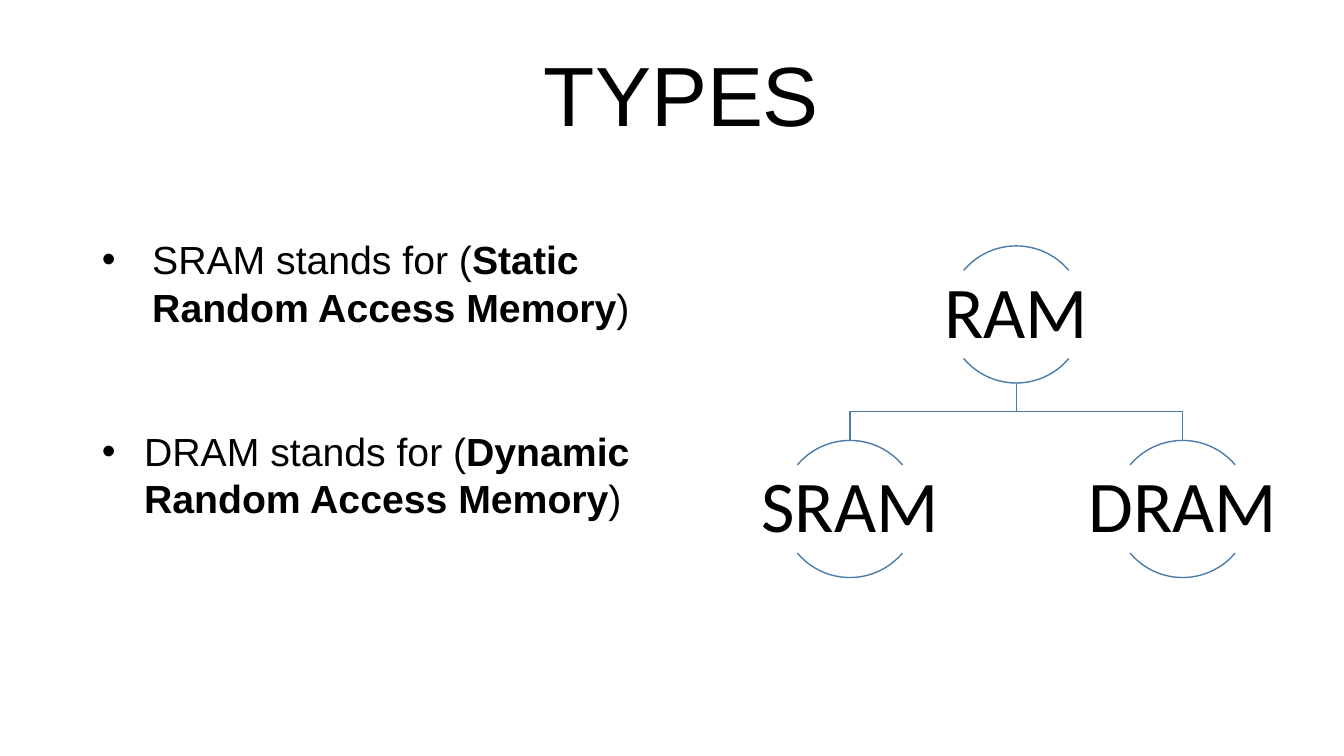
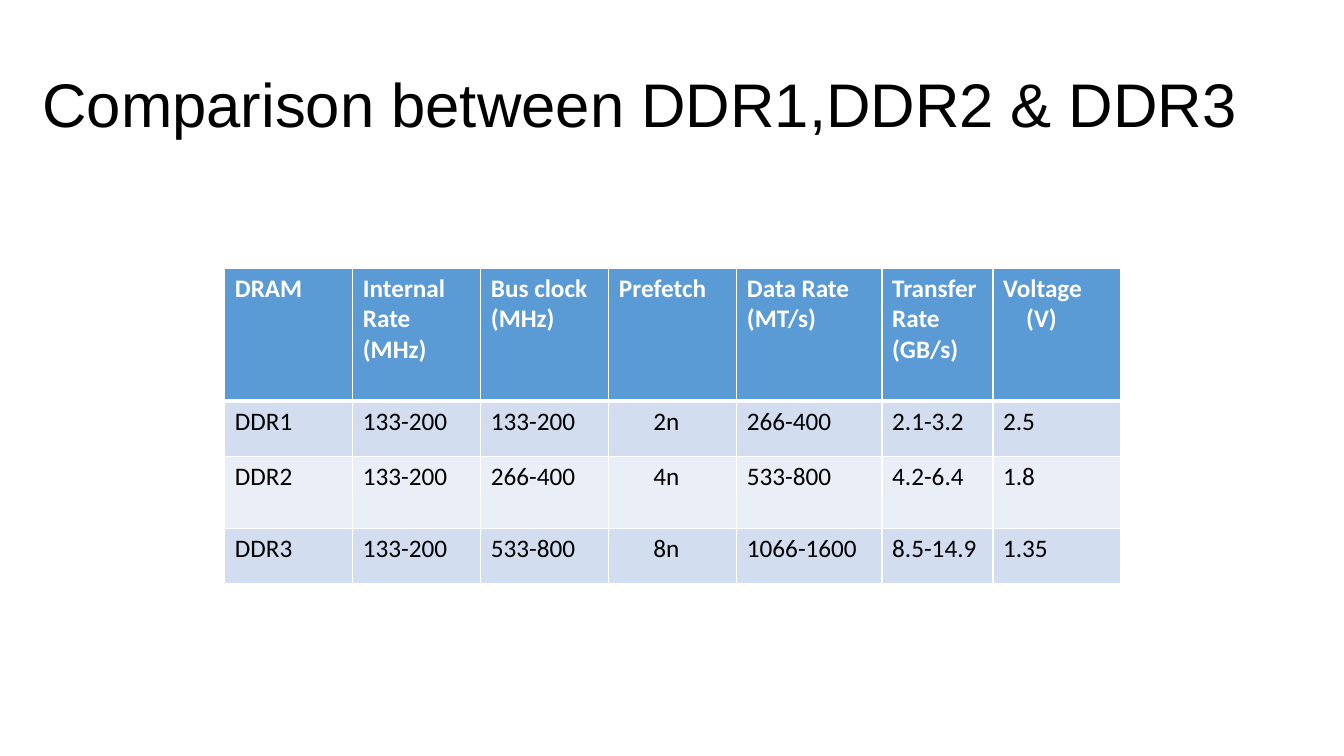
from pptx import Presentation
from pptx.dml.color import RGBColor
from pptx.enum import shapes, text
from pptx.oxml import parse_xml
from pptx.oxml.ns import nsdecls
from pptx.util import Inches, Pt

BLACK = RGBColor(0x00, 0x00, 0x00)
WHITE = RGBColor(0xFF, 0xFF, 0xFF)
LINE = RGBColor(0x49, 0x7C, 0xAB)
HEADER = RGBColor(0x5B, 0x9B, 0xD5)
BANDS = (RGBColor(0xD2, 0xDE, 0xEF), RGBColor(0xEA, 0xEF, 0xF7))

CIRCLE = 1.36           # diameter of a tree node
LABEL = (2.73, 0.87)    # size of a node label

HEADINGS = ["DRAM", "Internal Rate (MHz)", "Bus clock (MHz)", "Prefetch",
            "Data Rate\n(MT/s)", "Transfer Rate (GB/s)", "Voltage\n(V)"]
DATA = [
    ["DDR1", "133-200", "133-200", "2n", "266-400", "2.1-3.2", "2.5"],
    ["DDR2", "133-200", "266-400", "4n", "533-800", "4.2-6.4", "1.8"],
    ["DDR3", "133-200", "533-800", "8n", "1066-1600", "8.5-14.9", "1.35"],
]
COL_WIDTHS = [1.27, 1.27, 1.27, 1.27, 1.44, 1.1, 1.27]
ROW_HEIGHTS = [1.32, 0.55, 0.71, 0.55]
INDENTS = {"2n": 0.34, "4n": 0.34, "8n": 0.34, "(V)": 0.23}


def set_attrs(obj, **values):
    for name, value in values.items():
        setattr(obj, name, value)


def style(font, size, name="Arial", color=BLACK, bold=False):
    set_attrs(font, size=Pt(size), name=name, bold=bold)
    font.color.rgb = color


def outline(sp):
    sp.shadow.inherit = False
    sp.fill.background()
    sp.line.color.rgb = LINE
    sp.line.width = Pt(1)


def place(sp, x, y, w, h):
    set_attrs(sp, left=Inches(x), top=Inches(y), width=Inches(w), height=Inches(h))


def add_title(s, words, box, size, align):
    sp = s.shapes.title
    place(sp, *box)
    tf = sp.text_frame
    set_attrs(tf, text=words, vertical_anchor=text.MSO_ANCHOR.MIDDLE,
              auto_size=text.MSO_AUTO_SIZE.NONE, word_wrap=True)
    p = tf.paragraphs[0]
    set_attrs(p, alignment=align, line_spacing=0.9)
    style(p.runs[0].font, size)


# Bulleted definitions: (lead, bold words, hanging indent, space before)
def add_definitions(s, box, items):
    sp = s.placeholders[1]
    place(sp, *box)
    tf = sp.text_frame
    set_attrs(tf, auto_size=text.MSO_AUTO_SIZE.NONE, word_wrap=True)
    for i, (lead, full, indent, before) in enumerate(items):
        p = tf.add_paragraph() if i else tf.paragraphs[0]
        pPr = p._p.get_or_add_pPr()
        pPr.set("marL", str(Inches(indent)))
        pPr.set("indent", str(-Inches(indent)))
        pPr.append(parse_xml(f'<a:buFont {nsdecls("a")} typeface="Arial"/>'))
        pPr.append(parse_xml(f'<a:buChar {nsdecls("a")} char="•"/>'))
        set_attrs(p, line_spacing=Pt(34), space_before=Pt(before))
        for words, bold in ((lead, False), (full, True), (")", False)):
            r = p.add_run()
            r.text = words
            style(r.font, 28, bold=bold)


# Tree of memory types
def add_branch(s, x1, y1, x2, y2):
    mid = (y1 + y2) / 2
    start, *rest = [(Inches(x), Inches(y))
                    for x, y in ((x1, y1), (x1, mid), (x2, mid), (x2, y2))]
    fb = s.shapes.build_freeform(*start)
    fb.add_line_segments(rest, close=False)
    outline(fb.convert_to_shape())


def add_node(s, cx, top, words):
    for start, end in ((220, 320), (40, 140)):
        sp = s.shapes.add_shape(shapes.MSO_SHAPE.ARC, Inches(cx - CIRCLE / 2),
                                Inches(top), Inches(CIRCLE), Inches(CIRCLE))
        # Arc angles are stored in 1/60000 degree, adjustments in 1/100000
        sp.adjustments[0], sp.adjustments[1] = start * 0.6, end * 0.6
        outline(sp)
    w, h = LABEL
    tb = s.shapes.add_textbox(Inches(cx - w / 2), Inches(top + (CIRCLE - h) / 2),
                              Inches(w), Inches(h))
    tf = tb.text_frame
    m = Inches(0.04)
    set_attrs(tf, text=words, word_wrap=True, vertical_anchor=text.MSO_ANCHOR.MIDDLE,
              margin_left=m, margin_right=m, margin_top=m, margin_bottom=m)
    p = tf.paragraphs[0]
    set_attrs(p, alignment=text.PP_ALIGN.CENTER, line_spacing=0.9)
    style(p.runs[0].font, 52, "Calibri")


def add_tree(s, cx, top, root, children, pitch=3.3, gap=0.57):
    bottom = top + CIRCLE
    first = cx - pitch * (len(children) - 1) / 2
    add_node(s, cx, top, root)
    for i, words in enumerate(children):
        x = first + i * pitch
        add_branch(s, cx, bottom, x, bottom + gap)
        add_node(s, x, bottom + gap, words)


# Comparison table
def set_borders(cell, top, bottom):
    tcPr = cell._tc.get_or_add_tcPr()
    for side, width in (("L", 1), ("R", 1), ("T", top), ("B", bottom)):
        tcPr.append(parse_xml(
            f'<a:ln{side} {nsdecls("a")} w="{Pt(width)}"><a:solidFill>'
            f'<a:srgbClr val="{WHITE}"/></a:solidFill></a:ln{side}>'))


def add_comparison(s, x, y):
    rows = [HEADINGS] + DATA
    tbl = s.shapes.add_table(len(rows), len(HEADINGS), Inches(x), Inches(y),
                             Inches(sum(COL_WIDTHS)), Inches(sum(ROW_HEIGHTS))).table
    for col, w in zip(tbl.columns, COL_WIDTHS):
        col.width = Inches(w)
    for i, values in enumerate(rows):
        tbl.rows[i].height = Inches(ROW_HEIGHTS[i])
        for j, value in enumerate(values):
            cell = tbl.cell(i, j)
            set_borders(cell, 3 if i == 1 else 1, 3 if i == 0 else 1)
            cell.fill.solid()
            cell.fill.fore_color.rgb = BANDS[(i - 1) % 2] if i else HEADER
            cell.text = value
            for p in cell.text_frame.paragraphs:
                if p.text in INDENTS:
                    p._p.get_or_add_pPr().set("marL", str(Inches(INDENTS[p.text])))
                style(p.runs[0].font, 18, "Calibri", BLACK if i else WHITE, i == 0)


def types_slide(prs):
    s = prs.slides.add_slide(prs.slide_layouts[1])
    add_title(s, "TYPES", (1.01, 0.26, 11.5, 1.45), 60, text.PP_ALIGN.CENTER)
    add_definitions(s, (0.91, 2.28, 5.94, 3), [
        ("SRAM stands for (", "Static Random Access Memory", 0.5, 0),
        ("DRAM stands for (", "Dynamic Random Access Memory", 0.42, 69),
    ])
    add_tree(s, 10.08, 2.44, "RAM", ["SRAM", "DRAM"])


def comparison_slide(prs):
    s = prs.slides.add_slide(prs.slide_layouts[5])
    add_title(s, "Comparison between DDR1,DDR2 & DDR3", (0.32, 0.34, 12.69, 1.45),
              44, text.PP_ALIGN.LEFT)
    add_comparison(s, 2.23, 2.66)


def main():
    prs = Presentation()
    set_attrs(prs, slide_width=Inches(13.33), slide_height=Inches(7.5))
    types_slide(prs)
    comparison_slide(prs)
    prs.save("out.pptx")


if __name__ == "__main__":
    main()
